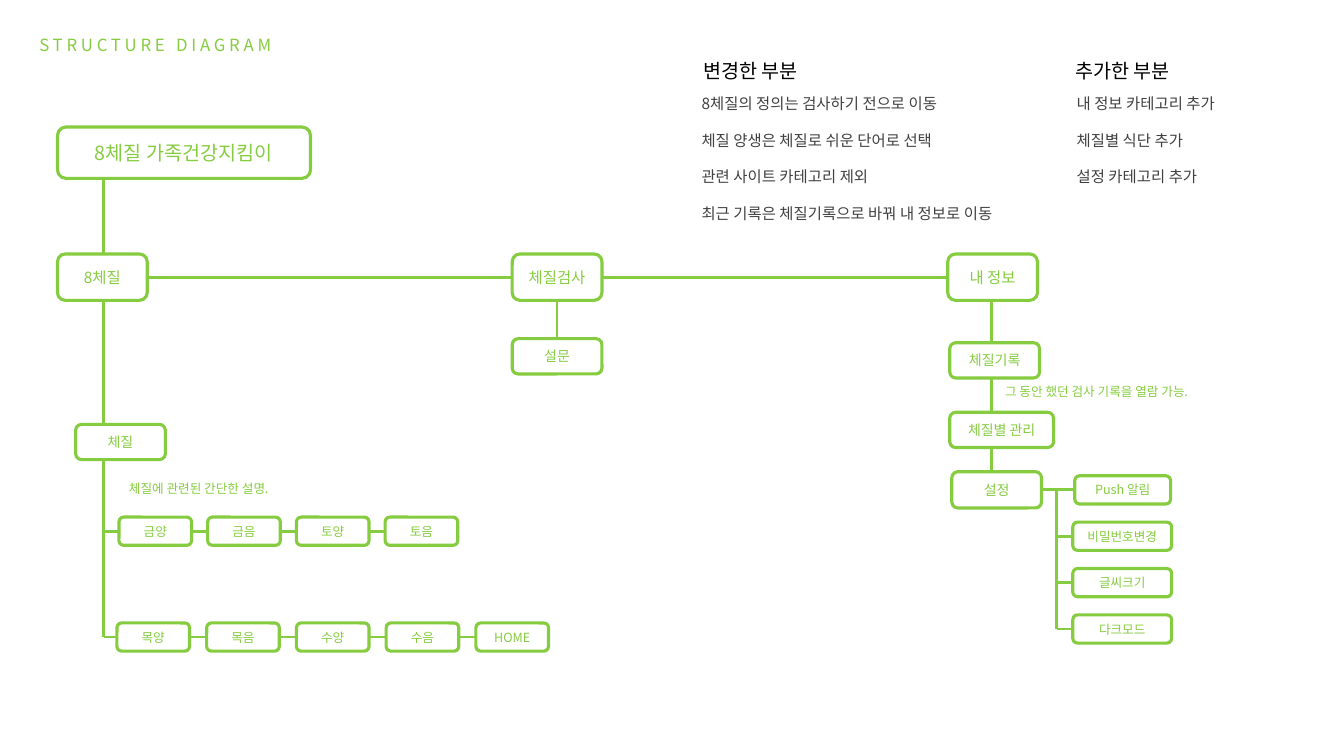
from dataclasses import dataclass

from lxml import etree
from pptx import Presentation, util as u
from pptx.dml.color import RGBColor
from pptx.enum import shapes, text
from pptx.oxml.ns import qn

Inches = u.Inches
TOP, LEFT, BOTTOM, RIGHT = range(4)


@dataclass(frozen=True)
class Theme:
    font: str = "Noto Sans CJK KR"
    green: RGBColor = RGBColor(0x86, 0xCC, 0x40)
    black: RGBColor = RGBColor(0, 0, 0)
    gray: RGBColor = RGBColor(0x40, 0x40, 0x40)
    white: RGBColor = RGBColor(0xFF, 0xFF, 0xFF)
    heading: float = 14
    title: float = 12
    body: float = 11
    node: float = 10
    small: float = 9
    leading: float = 1.2
    outline: float = 2.25
    link: float = 2


THEME = Theme()


def apply(target, values):
    for name, value in values.items():
        setattr(target, name, value)


def write(shape, lines, size, color, align=text.PP_ALIGN.LEFT, gap=0,
          anchor=text.MSO_ANCHOR.TOP):
    """Fill a shape with one paragraph per line."""
    frame = shape.text_frame
    apply(frame, {"word_wrap": True, "vertical_anchor": anchor,
                  "auto_size": text.MSO_AUTO_SIZE.NONE})
    for index, line in enumerate(lines):
        paragraph = frame.add_paragraph() if index else frame.paragraphs[0]
        apply(paragraph, {"alignment": align, "space_before": u.Pt(0), "space_after": u.Pt(gap),
                          "line_spacing": u.Pt(size * THEME.leading)})
        run = paragraph.add_run()
        run.text = line
        apply(run.font, {"name": THEME.font, "size": u.Pt(size), "bold": False})
        run.font.color.rgb = color
        east_asian = etree.SubElement(run.font._element, qn("a:ea"))
        east_asian.set("typeface", THEME.font)


def add_text(slide, box, lines, size, color, **format_values):
    shape = slide.shapes.add_textbox(*map(Inches, box))
    write(shape, lines, size, color, **format_values)


def add_node(slide, box, label, size):
    """Add a rounded box with a centred label."""
    shape = slide.shapes.add_shape(shapes.MSO_SHAPE.ROUNDED_RECTANGLE, *map(Inches, box))
    shape.shadow.inherit = False
    shape.fill.solid()
    shape.fill.fore_color.rgb = THEME.white
    shape.line.color.rgb = THEME.green
    shape.line.width = u.Pt(THEME.outline)
    apply(shape.text_frame, dict.fromkeys(("margin_left", "margin_right"), Inches(0.05)))
    write(shape, [label], size, THEME.green, align=text.PP_ALIGN.CENTER,
          anchor=text.MSO_ANCHOR.MIDDLE)
    return shape


def add_line(slide, start, end):
    line = slide.shapes.add_connector(shapes.MSO_CONNECTOR.STRAIGHT,
                                      *map(Inches, (*start, *end)))
    line.line.color.rgb = THEME.green
    line.line.width = u.Pt(THEME.link)
    etree.SubElement(line._element.spPr, qn("a:effectLst"))
    return line


def join(slide, first, first_side, second, second_side):
    line = add_line(slide, (0, 0), (0, 0))
    line.begin_connect(first, first_side)
    line.end_connect(second, second_side)


def branch(slide, x, node):
    """Run a level line from a vertical rail to the left side of a node."""
    y = (node.top + node.height / 2) / Inches(1)
    line = add_line(slide, (x, y), (node.left / Inches(1), y))
    line.end_connect(node, LEFT)


def add_title(slide, box, label):
    title = slide.shapes.title
    apply(title, dict(zip(("left", "top", "width", "height"), map(Inches, box))))
    write(title, [label], THEME.title, THEME.green)
    title.text_frame.paragraphs[0].runs[0].font._element.set("spc", "270")


def add_notes(slide, box, heading, lines, indent):
    """Add a heading with a spaced list of remarks below it."""
    left, top, width, height = box
    add_text(slide, (left, top, 1.57, 0.34), [heading], THEME.heading, THEME.black,
             align=text.PP_ALIGN.CENTER)
    add_text(slide, (left + indent, top + 0.34, width - indent, height - 0.34), lines,
             THEME.body, THEME.gray, gap=THEME.body * THEME.leading)


def add_chain(slide, box, labels, step, rail):
    """Add a row of joined leaves, tied to the rail on its left."""
    left, top, width, height = box
    leaves = [add_node(slide, (left + index * step, top, width, height), label, THEME.small)
              for index, label in enumerate(labels)]
    branch(slide, rail, leaves[0])
    for first, second in zip(leaves, leaves[1:]):
        join(slide, first, RIGHT, second, LEFT)


def add_types_region(slide, box):
    """Left region: root, body types and their two rows of leaves."""
    left, top = box
    rail = left + 0.46
    add_line(slide, (rail, top + 0.51), (rail, top + 5.06))
    add_node(slide, (left, top, 2.51, 0.51), "8체질 가족건강지킴이", THEME.heading)
    category = add_node(slide, (left, top + 1.26, 0.89, 0.46), "8체질", THEME.body)
    add_node(slide, (left + 0.18, top + 2.95, 0.89, 0.35), "체질", THEME.node)
    add_text(slide, (left + 0.61, top + 3.46, 4.12, 0.25), ["체질에 관련된 간단한 설명."],
             THEME.small, THEME.green)
    add_chain(slide, (left + 0.61, top + 3.87, 0.72, 0.28),
              ["금양", "금음", "토양", "토음"], 0.88, rail)
    add_chain(slide, (left + 0.59, top + 4.92, 0.72, 0.28),
              ["목양", "목음", "수양", "수음", "HOME"], 0.89, rail)
    return category


def add_test_region(slide, box):
    """Middle region: the test and its survey."""
    left, top = box
    category = add_node(slide, (left, top, 0.89, 0.46), "체질검사", THEME.body)
    survey = add_node(slide, (left, top + 0.84, 0.89, 0.35), "설문", THEME.node)
    join(slide, category, BOTTOM, survey, TOP)
    return category


def add_profile_region(slide, box):
    """Right region: personal records and settings."""
    left, top = box
    trunk = left + 0.43
    add_line(slide, (trunk, top + 0.46), (trunk, top + 2.16))
    category = add_node(slide, (left, top, 0.89, 0.46), "내 정보", THEME.body)
    add_node(slide, (left + 0.02, top + 0.88, 0.89, 0.35), "체질기록", THEME.node)
    add_text(slide, (left + 0.47, top + 1.24, 3.4, 0.25),
             ["그 동안 했던 검사 기록을 열람 가능."], THEME.small, THEME.green)
    add_node(slide, (left + 0.02, top + 1.57, 1.03, 0.35), "체질별 관리", THEME.node)
    settings = add_node(slide, (left + 0.04, top + 2.16, 0.89, 0.36), "설정", THEME.node)

    # Settings options on their own rail
    rail, first, step = left + 1.08, top + 2.2, 0.46
    add_line(slide, (rail, first + 0.14), (rail, first + 3 * step + 0.14))
    push = add_node(slide, (left + 1.26, first, 0.95, 0.28), "Push 알림", THEME.small)
    join(slide, settings, RIGHT, push, LEFT)
    for index, label in enumerate(["비밀번호변경", "글씨크기", "다크모드"], 1):
        option = add_node(slide, (left + 1.24, first + index * step, 0.98, 0.28),
                          label, THEME.small)
        branch(slide, rail, option)
    return category


def main():
    presentation = Presentation()
    presentation.slide_width, presentation.slide_height = Inches(13.33), Inches(7.5)
    slide = presentation.slides.add_slide(presentation.slide_layouts[5])
    add_title(slide, (0.29, 0.29, 3.05, 0.3), "STRUCTURE DIAGRAM")

    # Remarks on the changes
    add_notes(slide, (6.66, 0.54, 3.4, 1.74), "변경한 부분",
              ["8체질의 정의는 검사하기 전으로 이동", "체질 양생은 체질로 쉬운 단어로 선택",
               "관련 사이트 카테고리 제외", "최근 기록은 체질기록으로 바꿔 내 정보로 이동"], 0.2)
    add_notes(slide, (10.35, 0.54, 2.9, 1.37), "추가한 부분",
              ["내 정보 카테고리 추가", "체질별 식단 추가", "설정 카테고리 추가"], 0.23)

    # Diagram and the line across its three categories
    types = add_types_region(slide, (0.57, 1.26))
    test = add_test_region(slide, (5.08, 2.52))
    profile = add_profile_region(slide, (9.4, 2.52))
    join(slide, types, RIGHT, test, LEFT)
    join(slide, test, RIGHT, profile, LEFT)
    presentation.save("out.pptx")


if __name__ == "__main__":
    main()
